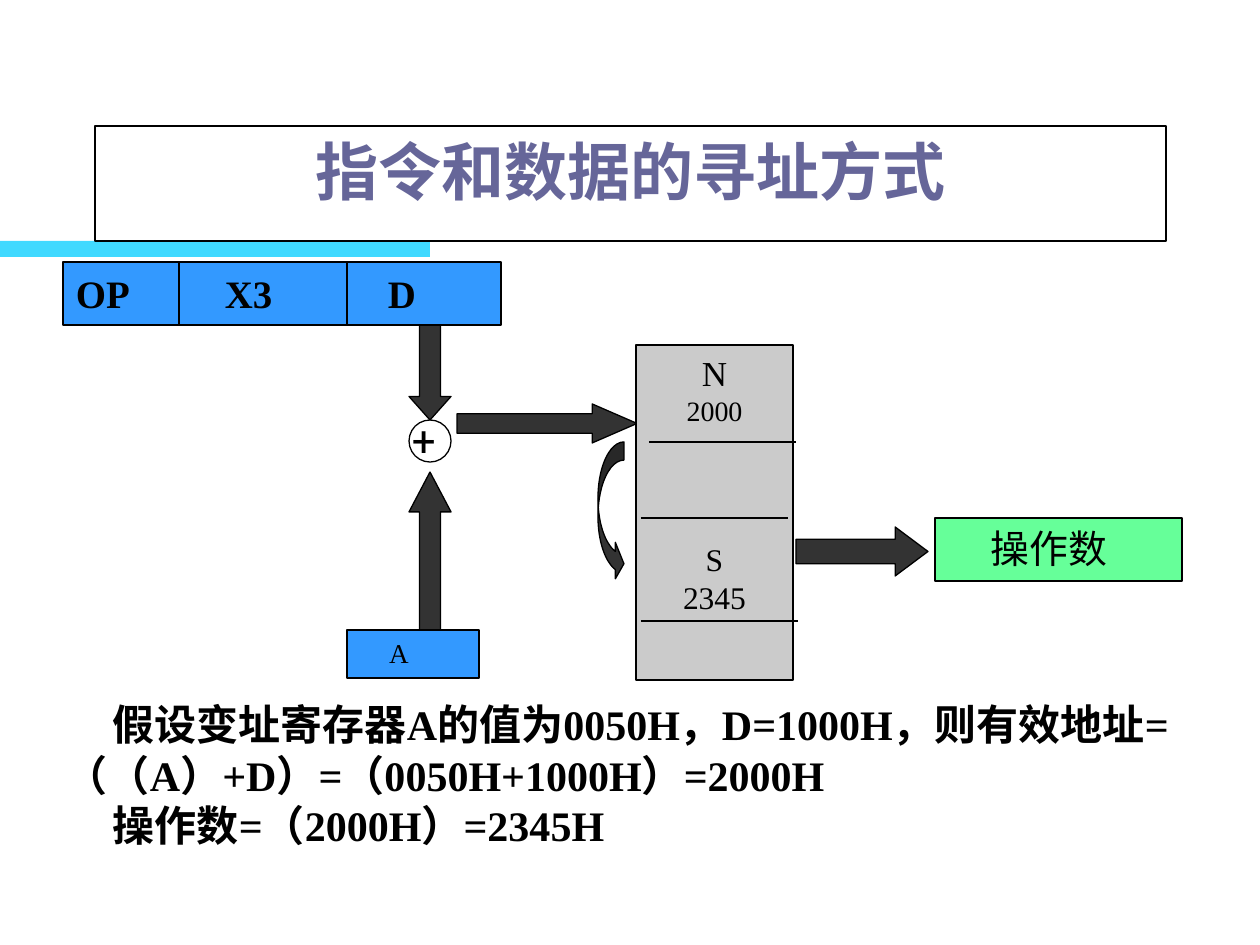
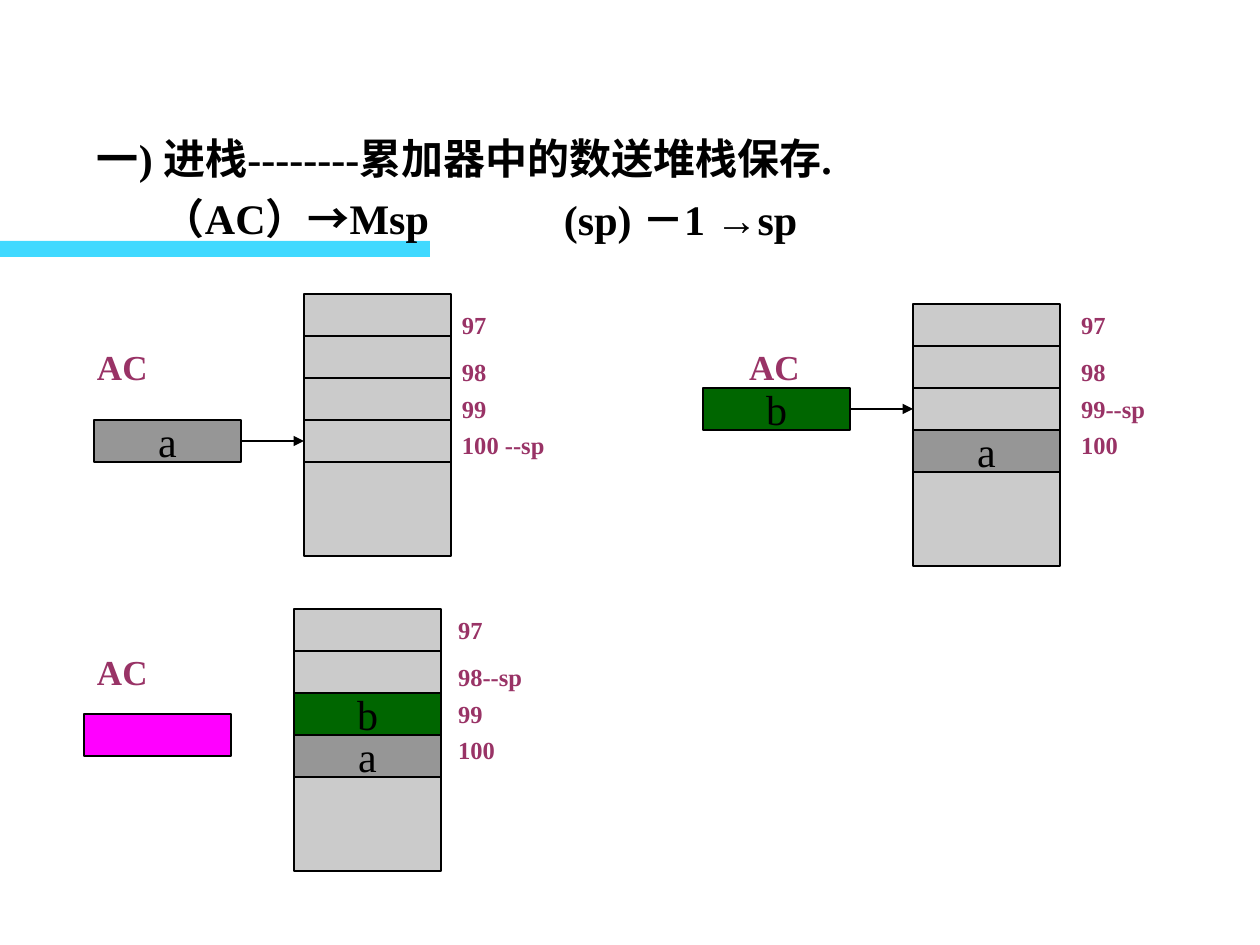
"""Build two slides on indexed addressing and pushing onto a stack."""
from lxml.etree import SubElement
from pptx import Presentation
from pptx.dml.color import RGBColor
from pptx.enum.shapes import MSO_CONNECTOR, MSO_SHAPE
from pptx.enum.text import MSO_ANCHOR, MSO_AUTO_SIZE, PP_ALIGN
from pptx.oxml.ns import qn
from pptx.util import Pt

PX = 914400 / 126
WIDTH, HEIGHT = 1260, 945
SERIF, CJK, SANS = "Times New Roman", "Noto Sans CJK JP", "Roboto"
COLORS = {
    "black": "000000", "white": "FFFFFF", "band": "40D9FF", "title": "666699",
    "blue": "3399FF", "arrow": "333333", "memory": "CBCBCB", "operand": "66FF99",
    "a": "969696", "b": "006600", "empty": "FF00FF", "label": "993366",
}
CELL_W, CELL_H, LAST_H = 147, 42, 94
LABEL_STEPS = (0, 47, 84, 120)


def px(n):
    """Turn px into EMU."""
    return round(n * PX)


def rgb(name):
    """Look up a colour by name."""
    return RGBColor.from_string(COLORS[name])


def add_run(p, text, size, color="black", bold=False, font=SERIF):
    """Append one formatted run to a paragraph."""
    r = p.add_run()
    r.text = text
    r.font.size, r.font.bold, r.font.name = Pt(size), bold, font
    r.font.color.rgb = rgb(color)
    SubElement(r.font._element, qn("a:ea"), typeface=CJK)


def setup_frame(tf, insets=(0, 0, 0, 0), anchor=MSO_ANCHOR.MIDDLE, wrap=True):
    """Set insets, anchor and wrapping of a text frame."""
    tf.margin_left, tf.margin_top, tf.margin_right, tf.margin_bottom = map(px, insets)
    tf.auto_size = MSO_AUTO_SIZE.NONE
    tf.vertical_anchor, tf.word_wrap = anchor, wrap


def add_lines(tf, lines, align=PP_ALIGN.LEFT, **style):
    """Write (text, size) pairs as paragraphs and return them."""
    for i, (text, size) in enumerate(lines):
        p = tf.paragraphs[0] if i == 0 else tf.add_paragraph()
        p.alignment = align
        add_run(p, text, size, **style)
    return tf.paragraphs


def indent_first(p, indent):
    """Indent the first line of a paragraph."""
    pPr = p._p.get_or_add_pPr()
    pPr.set("marL", "0")
    pPr.set("indent", str(px(indent)))


def add_box(s, x, y, w, h, fill, kind=MSO_SHAPE.RECTANGLE, line=True, adj=()):
    """Draw a filled preset shape with a thin black outline."""
    sp = s.shapes.add_shape(kind, px(x), px(y), px(w), px(h))
    sp.shadow.inherit = False
    sp.fill.solid()
    sp.fill.fore_color.rgb = rgb(fill)
    if line:
        sp.line.color.rgb, sp.line.width = rgb("black"), Pt(0.75)
    else:
        sp.line.fill.background()
    for i, value in enumerate(adj):
        sp.adjustments[i] = value
    return sp


def add_field(s, x, y, w, h, fill, text, size, inset):
    """Draw a box whose text starts at a given inset."""
    tf = add_box(s, x, y, w, h, fill).text_frame
    setup_frame(tf, (inset, 0, 0, 2), wrap=False)
    add_lines(tf, [(text, size)])


def add_text(s, x, y, w, h, lines, align=PP_ALIGN.LEFT, insets=(0, 0, 0, 0),
             anchor=MSO_ANCHOR.TOP, wrap=True, **style):
    """Add a text box and return its paragraphs."""
    tf = s.shapes.add_textbox(px(x), px(y), px(w), px(h)).text_frame
    setup_frame(tf, insets, anchor, wrap)
    return add_lines(tf, lines, align, **style)


def add_line(s, x1, y1, x2, y2, arrow=False):
    """Draw a straight line, with an arrowhead if asked."""
    c = s.shapes.add_connector(MSO_CONNECTOR.STRAIGHT, *map(px, (x1, y1, x2, y2)))
    c.line.color.rgb, c.line.width = rgb("black"), Pt(0.75)
    if arrow:
        SubElement(c.line._get_or_add_ln(), qn("a:tailEnd"), type="triangle")
    SubElement(c._element.spPr, qn("a:effectLst"))


def new_slide(prs, x, y, w, h, lines, align, **style):
    """Add a slide with the band and a placed title; return both."""
    s = prs.slides.add_slide(prs.slide_layouts[5])
    add_box(s, 0, 241, 430, 16, "band", line=False)
    title = s.shapes.title
    title.left, title.top, title.width, title.height = map(px, (x, y, w, h))
    setup_frame(title.text_frame, (13, 6, 13, 6), MSO_ANCHOR.TOP)
    add_lines(title.text_frame, lines, align, **style)
    s.shapes._spTree.append(title._element)
    return s, title


def add_stack(s, x, y, cells):
    """Draw stack cells from the top down, the last one taller."""
    for i, value in enumerate(cells):
        h = LAST_H if i == len(cells) - 1 else CELL_H
        add_cell(s, x, y + i * CELL_H, value, "memory", h)


def add_cell(s, x, y, value, empty_fill, h=CELL_H):
    """Draw one cell coloured by its value."""
    sp = add_box(s, x, y, CELL_W, h, value or empty_fill)
    if value:
        setup_frame(sp.text_frame, wrap=False)
        add_lines(sp.text_frame, [(value, 24)], PP_ALIGN.CENTER)


def add_label(s, x, y, text, size=14):
    """Write a bold label centred on a height."""
    add_text(s, x, y - 21, 110, 40, [(text, size)], anchor=MSO_ANCHOR.MIDDLE,
             wrap=False, color="label", bold=True)


def addressing_slide(prs):
    """Show indexed addressing from instruction to operand."""
    s, title = new_slide(prs, 95, 126, 1071, 115, [("指令和数据的寻址方式", 36)],
                         PP_ALIGN.CENTER, color="title", bold=True, font=CJK)
    title.fill.solid()
    title.fill.fore_color.rgb = rgb("white")
    title.line.color.rgb, title.line.width = rgb("black"), Pt(0.75)

    explanation = add_text(
        s, 53, 693, 1165, 164,
        [("假设变址寄存器A的值为0050H，D=1000H，则有效地址"
          "=（（A）+D）=（0050H+1000H）=2000H", 24),
         ("操作数=（2000H）=2345H", 24)],
        insets=(13, 6, 5, 6), bold=True)
    for p in explanation:
        indent_first(p, 47)

    for kind, x, y, w, h, head in (
            (MSO_SHAPE.DOWN_ARROW, 409, 325, 42, 95, 0.56),
            (MSO_SHAPE.UP_ARROW, 409, 472, 42, 159, 0.95),
            (MSO_SHAPE.RIGHT_ARROW, 457, 404, 180, 39, 1.15),
            (MSO_SHAPE.RIGHT_ARROW, 796, 527, 132, 49, 0.67)):
        add_box(s, x, y, w, h, "arrow", kind, adj=(0.5, head))
    add_box(s, 598, 442, 26, 140, "arrow", MSO_SHAPE.CURVED_RIGHT_ARROW,
            adj=(0.7, 1.4, 0.33))

    add_box(s, 409, 420, 42, 42, "white", MSO_SHAPE.OVAL)
    add_text(s, 399, 409, 95, 63, [("+", 24)], insets=(13, 6, 13, 6), font=SANS)

    add_box(s, 63, 262, 438, 63, "blue")
    for x in (179, 347):
        add_line(s, x, 262, x, 325)
    for x, text in ((76, "OP"), (225, "X3"), (388, "D")):
        add_text(s, x, 262, 100, 61, [(text, 22.2)], anchor=MSO_ANCHOR.MIDDLE,
                 wrap=False, bold=True)
    add_field(s, 347, 630, 132, 48, "blue", "A", 15.5, 42)
    add_field(s, 935, 518, 247, 63, "operand", "操作数", 22.2, 56)

    add_box(s, 636, 345, 157, 335, "memory")
    for y, lines in ((352, [("N", 20), ("2000", 16)]),
                     (540, [("S", 18), ("2345", 18)])):
        add_text(s, 636, y, 157, 76, lines, PP_ALIGN.CENTER)
    for x1, x2, y in ((649, 796, 442), (641, 788, 518), (641, 798, 621)):
        add_line(s, x1, y, x2, y)


def push_slide(prs):
    """Show three stages of pushing the accumulator onto the stack."""
    s, title = new_slide(
        prs, 84, 126, 1134, 125,
        [("一) 进栈--------累加器中的数送堆栈保存.", 24),
         ("（AC）→Msp", 24)], PP_ALIGN.LEFT, bold=True)
    formula = title.text_frame.paragraphs[1]
    formula.space_before = Pt(6)
    indent_first(formula, 66)
    add_text(s, 564, 194, 300, 52, [("(sp) －1 →sp", 24)], wrap=False, bold=True)

    stages = (
        (94, 420, "a", 97, 304, 294, (None,) * 5,
         462, 326, ("97", "98", "99", "100 --sp")),
        (703, 388, "b", 749, 913, 304, (None, None, None, "a", None),
         1081, 326, ("97", "98", "99--sp", "100")),
        (84, 714, None, 97, 294, 609, (None, None, "b", "a", None),
         458, 631, ("97", "98--sp", "99", "100")),
    )
    for ac_x, ac_y, value, name_x, x, y, cells, label_x, label_y, labels in stages:
        add_label(s, name_x, label_y + 42, "AC", 20)
        add_cell(s, ac_x, ac_y, value, "empty")
        add_stack(s, x, y, cells)
        if value:
            middle = ac_y + CELL_H // 2
            add_line(s, ac_x + CELL_W, middle, x, middle, arrow=True)
        for step, label in zip(LABEL_STEPS, labels):
            add_label(s, label_x, label_y + step, label)


def main():
    """Build and save the deck."""
    prs = Presentation()
    prs.slide_width, prs.slide_height = px(WIDTH), px(HEIGHT)
    addressing_slide(prs)
    push_slide(prs)
    prs.save("out.pptx")


if __name__ == "__main__":
    main()
